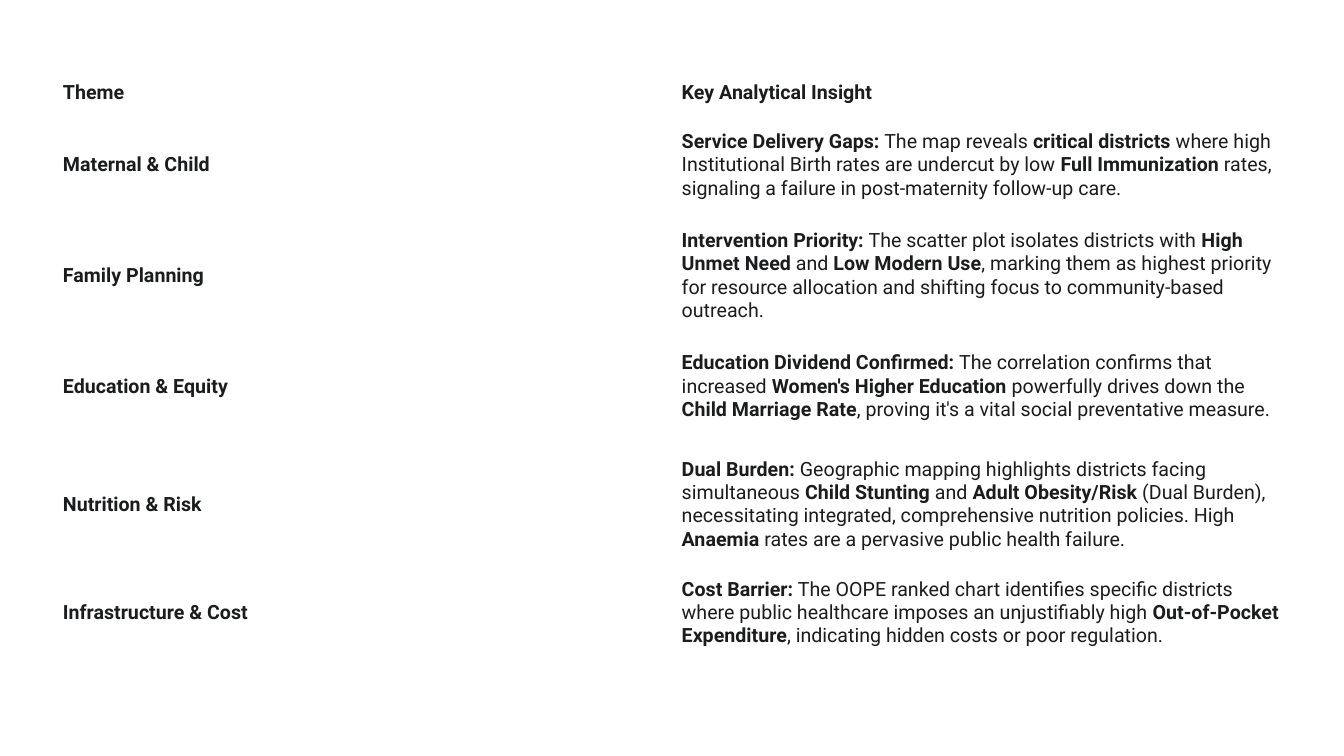
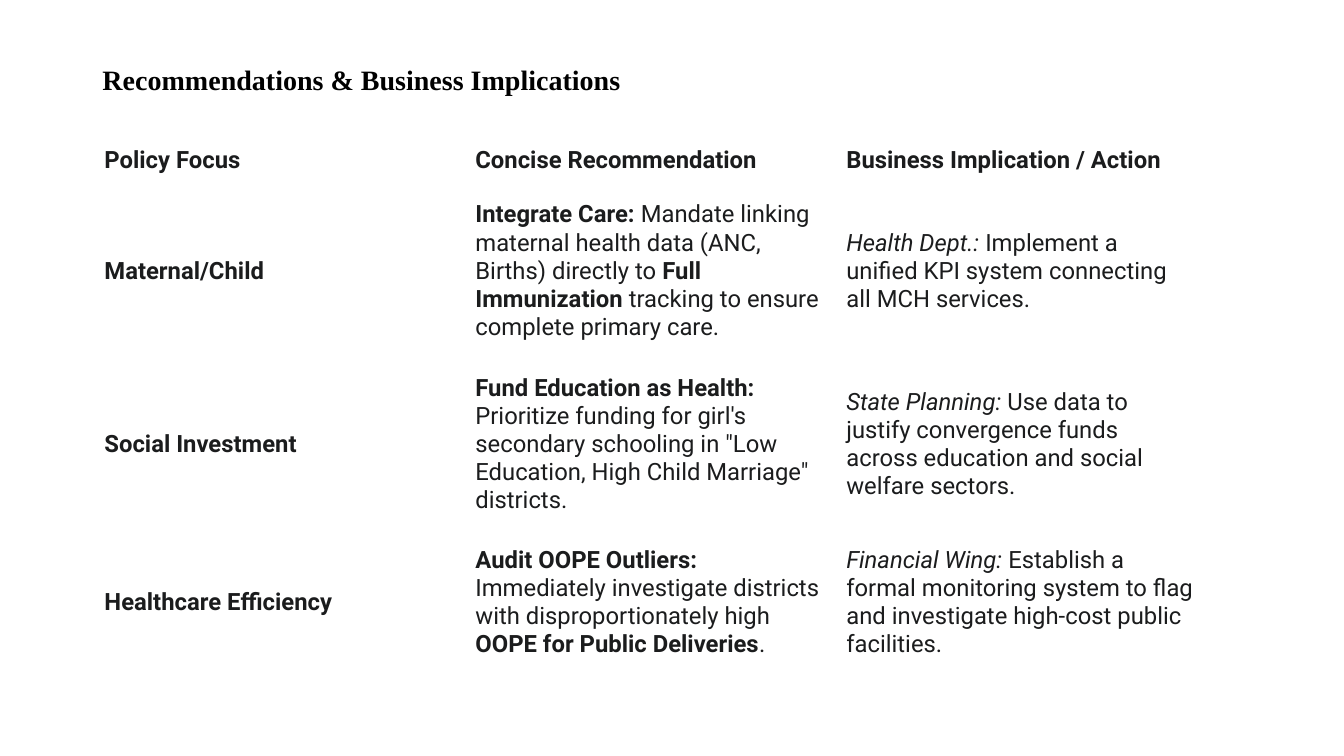
from dataclasses import dataclass
from typing import NamedTuple

from lxml.etree import SubElement as Sub
from pptx import Presentation as Deck
from pptx.dml.color import RGBColor as Color
from pptx.enum.text import MSO_ANCHOR as Anchor, MSO_AUTO_SIZE as Fit, PP_ALIGN as Align
from pptx.oxml.ns import qn
from pptx.util import Pt


@dataclass(frozen=True)
class Theme:
    ink: Color = Color(0x1B, 0x1C, 0x1D)
    head: Color = Color(0, 0, 0)
    rule: Color = Color(0xFF, 0xFF, 0xFF)
    body: str = "Roboto"
    serif: str = "Times New Roman"
    title: float = 20
    large: float = 17
    small: float = 14
    line: float = 0.75


class Run(NamedTuple):
    text: str
    bold: bool = False
    slant: bool = False


Cell = tuple[Run, ...]


@dataclass(frozen=True)
class Grid:
    left: float
    top: float
    width: float
    heights: tuple[float, ...]
    size: float
    pad: tuple[float, float]
    rows: tuple[tuple[Cell, ...], ...]


THEME = Theme()


def bold(text: str) -> Run:
    return Run(text, bold=True)


def slant(text: str) -> Run:
    return Run(text, slant=True)


def label(text: str) -> Cell:
    return (bold(text),)


def write(para, run: Run, name: str, size: float, color: Color) -> None:
    part = para.add_run()
    part.text = run.text
    font = part.font
    font.name, font.size = name, Pt(size)
    font.bold, font.italic = run.bold, run.slant
    font.color.rgb = color


def border(cell) -> None:
    props = cell._tc.get_or_add_tcPr()
    for spot, side in enumerate(("lnL", "lnR", "lnT", "lnB")):
        line = Sub(props, qn(f"a:{side}"), w=str(Pt(THEME.line)))
        fill = Sub(line, qn("a:solidFill"))
        Sub(fill, qn("a:srgbClr"), val=str(THEME.rule))
        props.insert(spot, line)


def fill_cell(cell, runs: Cell, grid: Grid) -> None:
    side, edge = grid.pad
    cell.margin_left = cell.margin_right = Pt(side)
    cell.margin_top = cell.margin_bottom = Pt(edge)
    cell.vertical_anchor = Anchor.MIDDLE
    cell.fill.background()
    border(cell)
    for run in runs:
        write(cell.text_frame.paragraphs[0], run, THEME.body, grid.size, THEME.ink)


def draw_grid(slide, grid: Grid) -> None:
    count = len(grid.rows[0])
    table = slide.shapes.add_table(
        len(grid.rows), count, Pt(grid.left), Pt(grid.top),
        Pt(grid.width * count), Pt(sum(grid.heights))).table
    table.first_row = table.horz_banding = False
    for column in table.columns:
        column.width = Pt(grid.width)
    for y, (height, cells) in enumerate(zip(grid.heights, grid.rows)):
        table.rows[y].height = Pt(height)
        for x, runs in enumerate(cells):
            fill_cell(table.cell(y, x), runs, grid)


def draw_title(slide, text: str) -> None:
    title = slide.shapes.title
    title.left, title.top = Pt(66), Pt(40)
    title.width, title.height = Pt(828), Pt(36)
    frame = title.text_frame
    frame.word_wrap, frame.auto_size = True, Fit.NONE
    frame.vertical_anchor = Anchor.MIDDLE
    para = frame.paragraphs[0]
    para.alignment, para.line_spacing = Align.LEFT, 0.9
    write(para, bold(text), THEME.serif, THEME.title, THEME.head)


THEMES = Grid(40, 54, 442, (25, 78, 80, 78, 91, 64), THEME.small, (5, 3.6), (
    (label("Theme"), label("Key Analytical Insight")),
    (label("Maternal & Child"), (
        bold("Service Delivery Gaps:"),
        Run(" The map reveals "),
        bold("critical districts"),
        Run(" where high Institutional Birth rates are undercut by low "),
        bold("Full Immunization"),
        Run(" rates, signaling a failure in post-maternity follow-up care."))),
    (label("Family Planning"), (
        bold("Intervention Priority:"),
        Run(" The scatter plot isolates districts with "),
        bold("High Unmet Need"),
        Run(" and "),
        bold("Low Modern Use"),
        Run(", marking them as highest priority for resource allocation "
            "and shifting focus to community-based outreach."))),
    (label("Education & Equity"), (
        bold("Education Dividend Confirmed:"),
        Run(" The correlation confirms that increased "),
        bold("Women's Higher Education"),
        Run(" powerfully drives down the "),
        bold("Child Marriage Rate"),
        Run(", proving it's a vital social preventative measure."))),
    (label("Nutrition & Risk"), (
        bold("Dual Burden:"),
        Run(" Geographic mapping highlights districts facing simultaneous "),
        bold("Child Stunting"),
        Run(" and "),
        bold("Adult Obesity/Risk"),
        Run(" (Dual Burden), necessitating integrated, comprehensive "
            "nutrition policies. High "),
        bold("Anaemia"),
        Run(" rates are a pervasive public health failure."))),
    (label("Infrastructure & Cost"), (
        bold("Cost Barrier:"),
        Run(" The OOPE ranked chart identifies specific districts where "
            "public healthcare imposes an unjustifiably high "),
        bold("Out-of-Pocket Expenditure"),
        Run(", indicating hidden costs or poor regulation."))),
))

ACTIONS = Grid(66, 97, 265, (34.5, 124, 124, 101.5), THEME.large, (8.6, 5.8), (
    (label("Policy Focus"), label("Concise Recommendation"),
     label("Business Implication / Action")),
    (label("Maternal/Child"), (
        bold("Integrate Care:"),
        Run(" Mandate linking maternal health data (ANC, Births) directly to "),
        bold("Full Immunization"),
        Run(" tracking to ensure complete primary care.")), (
        slant("Health Dept.:"),
        Run(" Implement a unified KPI system connecting all MCH services."))),
    (label("Social Investment"), (
        bold("Fund Education as Health:"),
        Run(" Prioritize funding for girl's secondary schooling in "
            '"Low Education, High Child Marriage" districts.')), (
        slant("State Planning:"),
        Run(" Use data to justify convergence funds across education "
            "and social welfare sectors."))),
    (label("Healthcare Efficiency"), (
        bold("Audit OOPE Outliers:"),
        Run(" Immediately investigate districts with disproportionately high "),
        bold("OOPE for Public Deliveries"),
        Run(".")), (
        slant("Financial Wing:"),
        Run(" Establish a formal monitoring system to flag and investigate "
            "high-cost public facilities."))),
))


def main() -> None:
    deck = Deck()
    deck.slide_width, deck.slide_height = Pt(960), Pt(540)
    titled, blank = deck.slide_layouts[5], deck.slide_layouts[6]
    draw_grid(deck.slides.add_slide(blank), THEMES)
    slide = deck.slides.add_slide(titled)
    draw_title(slide, "Recommendations & Business Implications")
    draw_grid(slide, ACTIONS)
    deck.save("out.pptx")


if __name__ == "__main__":
    main()
